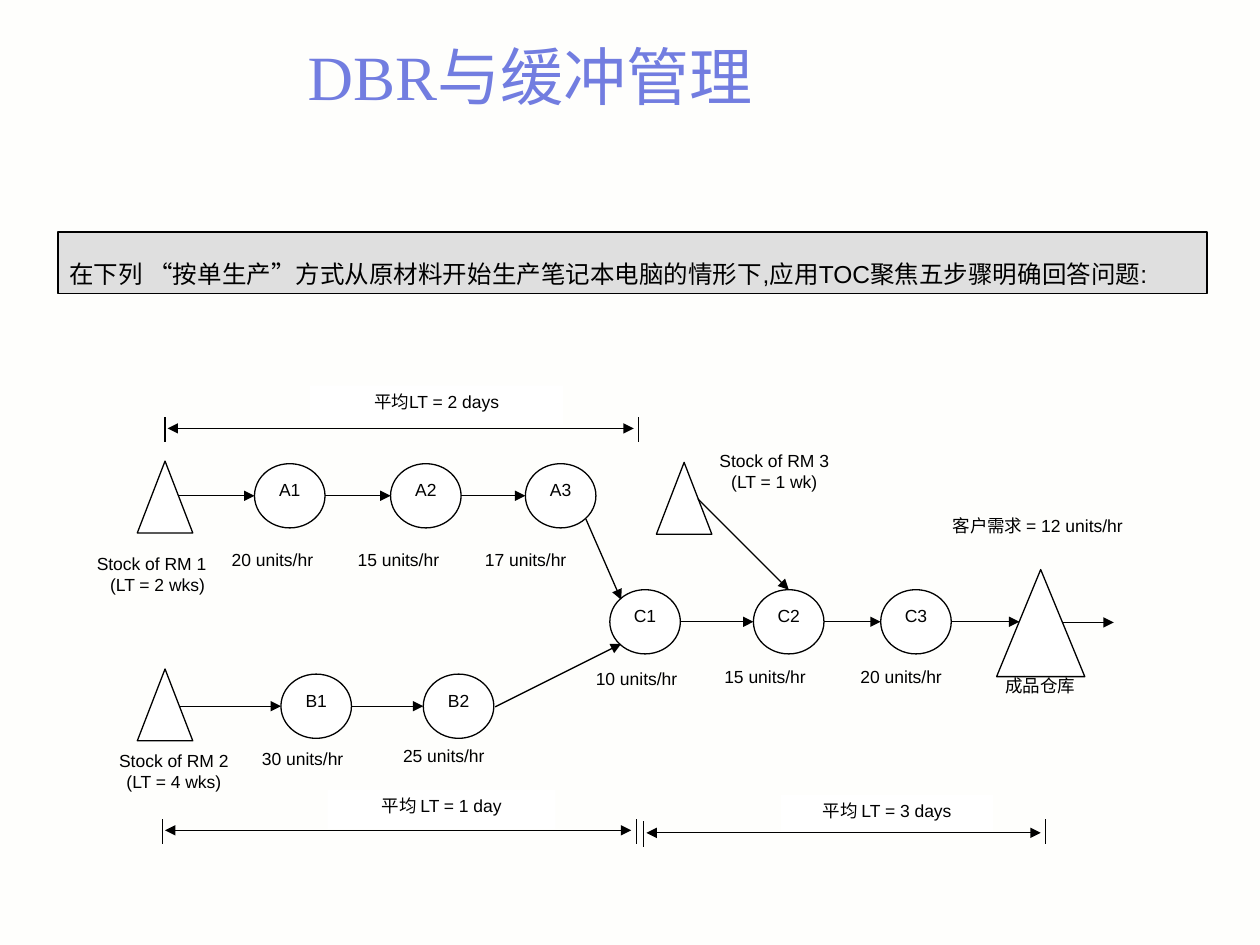
from dataclasses import dataclass

from lxml.etree import SubElement as Sub
from pptx import Presentation
from pptx.dml.color import RGBColor as Rgb
from pptx.enum.shapes import MSO_CONNECTOR as Wire, MSO_SHAPE as Shape
from pptx.enum.text import MSO_ANCHOR as Anchor, MSO_AUTO_SIZE as Fit, PP_ALIGN as Align
from pptx.oxml.ns import qn
from pptx.util import Inches, Pt


@dataclass(frozen=True)
class Theme:
    paper: str = "FEFEFC"
    ink: str = "000000"
    white: str = "FFFFFF"
    gray: str = "DFDFDF"
    blue: str = "727DE0"
    sans: str = "Arial"
    serif: str = "Times New Roman"
    asian: str = "Noto Sans CJK SC"
    small: int = 10
    lead: int = 14
    head: int = 36
    thin: float = 0.75


def grid(*cells):
    """Columns and rows of a 100 by 75 grid, as slide lengths."""
    return [Inches(cell / 10) for cell in cells]


class Page:
    def __init__(self, deck, theme):
        self.theme = theme
        self.slide = deck.slides.add_slide(deck.slide_layouts[5])
        self.shapes = self.slide.shapes
        back = self.slide.background.fill
        back.solid()
        back.fore_color.rgb = Rgb.from_string(theme.paper)

    def words(self, shape, lines, size=None, face=None, color=None,
              pads=(1, 0.5), anchor=Anchor.TOP, aligns=(Align.CENTER,)):
        th = self.theme
        frame = shape.text_frame
        side, edge = grid(*pads)
        look = dict(word_wrap=True, auto_size=Fit.NONE, vertical_anchor=anchor,
                    margin_left=side, margin_right=side,
                    margin_top=edge, margin_bottom=edge)
        for key, val in look.items():
            setattr(frame, key, val)
        for num, line in enumerate(lines):
            par = frame.add_paragraph() if num else frame.paragraphs[0]
            par.alignment = aligns[min(num, len(aligns) - 1)]
            run = par.add_run()
            run.text = line
            run.font.color.rgb = Rgb.from_string(color or th.ink)
            for key, val in dict(size=Pt(size or th.small), name=face or th.sans).items():
                setattr(run.font, key, val)
            Sub(run._r.rPr, qn("a:ea"), typeface=th.asian)

    def title(self, text, box):
        shape = self.shapes.title
        for key, val in zip(("left", "top", "width", "height"), grid(*box)):
            setattr(shape, key, val)
        th = self.theme
        self.words(shape, [text], th.head, th.serif, th.blue)

    def form(self, kind, box, fill=None, width=None):
        shape = self.shapes.add_shape(kind, *grid(*box))
        shape.shadow.inherit = False
        shape.fill.solid()
        shape.fill.fore_color.rgb = Rgb.from_string(fill or self.theme.white)
        if width == 0:
            shape.line.fill.background()
        else:
            shape.line.color.rgb = Rgb.from_string(self.theme.ink)
            shape.line.width = Pt(width or self.theme.thin)
        return shape

    def label(self, lines, box, **style):
        self.words(self.shapes.add_textbox(*grid(*box)), lines, **style)

    def line(self, start, end, ends=("tailEnd",)):
        wire = self.shapes.add_connector(Wire.STRAIGHT, *grid(*start, *end))
        wire.line.color.rgb = Rgb.from_string(self.theme.ink)
        wire.line.width = Pt(self.theme.thin)
        props = wire._element.spPr
        for tag in ends:
            Sub(props.find(qn("a:ln")), qn("a:" + tag), type="triangle")
        Sub(props, qn("a:effectLst"))

    def span(self, text, box, left, right, mid, tick):
        """A lead time: two ticks, a double arrow and its label."""
        for col, top in ((left, mid - 0.9), (right, tick)):
            self.line((col, top), (col, top + 2), ())
        self.line((left + 0.2, mid), (right - 0.4, mid), ("headEnd", "tailEnd"))
        self.words(self.form(Shape.RECTANGLE, box, width=0), [text], pads=(0.2, 0.4))


def main():
    deck = Presentation()
    deck.slide_width, deck.slide_height = grid(100, 75)
    theme = Theme()
    page = Page(deck, theme)

    # Title and question
    page.title("DBR与缓冲管理", (3.3, 2.5, 77.5, 7))
    banner = page.form(Shape.RECTANGLE, (4.6, 18.4, 91.2, 4.9), theme.gray, 1)
    page.words(banner, ["在下列 “按单生产”方式从原材料开始生产笔记本电脑的情形下,应用TOC聚焦五步骤明确回答问题:"],
               theme.lead, pads=(0.9, 0.4), anchor=Anchor.BOTTOM, aligns=(Align.LEFT,))

    # Stocks of material and finished goods
    stocks = [(10.9, 36.6, 4.4, 5.7), (10.9, 53.1, 4.4, 5.7),
              (52.1, 36.7, 4.4, 5.7), (79.1, 45.2, 7, 8.5)]
    for box in stocks:
        page.form(Shape.ISOSCELES_TRIANGLE, box)

    # Work steps: row, start and end of the line, then name, column, rate, label place
    wide, high = 5.6, 5.1
    rows = [
        (36.8, 14.2, None, [("A1", 20.2, 20, 17.4, 43.1), ("A2", 31, 15, 27.4, 43.1),
                            ("A3", 41.7, 17, 37.5, 43.1)]),
        (53.5, 14.2, None, [("B1", 22.3, 30, 19.8, 58.9), ("B2", 33.6, 25, 31, 58.6)]),
        (46.8, None, 80.9, [("C1", 48.4, 10, 46.3, 52.5), ("C2", 59.8, 15, 56.5, 52.4),
                            ("C3", 69.9, 20, 67.3, 52.4)]),
    ]
    for top, start, end, steps in rows:
        mid = top + high / 2
        for name, col, rate, left, low in steps:
            step = page.form(Shape.OVAL, (col, top, wide, high))
            page.words(step, [name], pads=(0, 0.5))
            page.label([f"{rate} units/hr"], (left, low, 11.9, 3.7), aligns=(Align.LEFT,))
            if start:
                page.line((start, mid), (col, mid))
            start = col + wide
        if end:
            page.line((start, mid), (end, mid))

    # Flows between the lines, and out to the customer
    for start, end in [((46.5, 41.2), (49.3, 47.6)), ((39.3, 56.1), (49.3, 51.1)),
                       ((55.4, 39.6), (62.6, 46.8)), ((84.4, 49.4), (88.4, 49.4))]:
        page.line(start, end)

    # Stock and demand labels
    page.label(["Stock of RM 1", "(LT = 2 wks)"], (6.7, 43.4, 11.6, 4.1),
               aligns=(Align.LEFT, Align.CENTER))
    page.label(["Stock of RM 2", "(LT = 4 wks)"], (7.1, 59.4, 13.4, 8), pads=(0.2, 0.1))
    page.label(["Stock of RM 3", "(LT = 1 wk)"], (54.3, 35.2, 14.3, 5.4))
    page.label(["成品仓库"], (77.7, 53.1, 9.7, 9.8), pads=(0.1, 0.5))
    page.label(["客户需求 = 12 units/hr"], (75.2, 40.4, 14.3, 6.4), pads=(0, 0.5))

    # Lead times
    page.span("平均LT = 2 days", (24.6, 30.6, 20.1, 3.1), 13.1, 50.7, 34, 33.1)
    page.span("平均 LT = 1 day", (26, 62.7, 18.1, 3.1), 12.9, 50.5, 65.9, 65)
    page.span("平均 LT = 3 days", (62, 63.1, 16.8, 2.9), 51.1, 83, 66.1, 65)

    deck.save("out.pptx")


if __name__ == "__main__":
    main()
